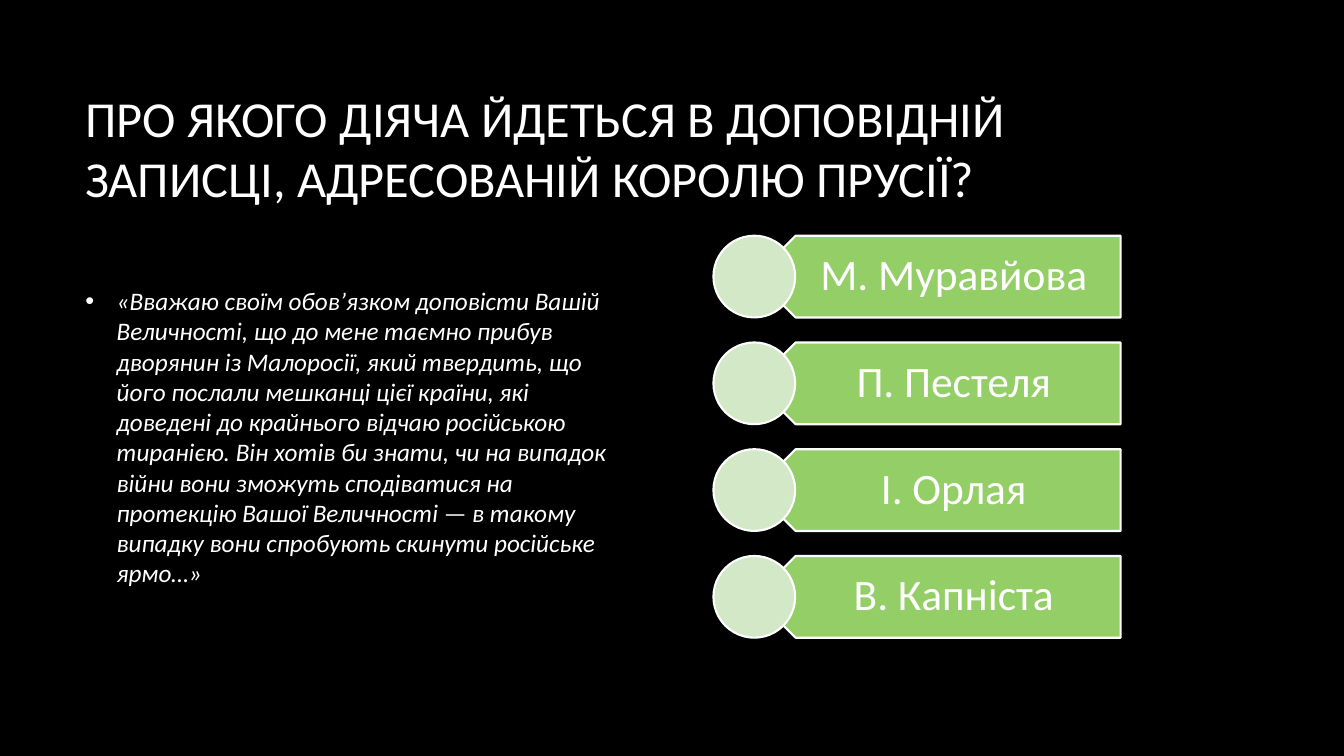
import pptx
import pptx.dml.color
import pptx.enum.shapes
import pptx.enum.text
import pptx.oxml
import pptx.oxml.ns
import pptx.util

Cm = pptx.util.Cm
Pt = pptx.util.Pt
Shape = pptx.enum.shapes.MSO_SHAPE
Align = pptx.enum.text.PP_ALIGN


def color(hex_value):
    return pptx.dml.color.RGBColor.from_string(hex_value)


class QuizSlide:
    font = "Calibri"
    text_color = "FFFFFF"
    line_width = 1.5

    def __init__(self, presentation, background):
        self.slide = presentation.slides.add_slide(presentation.slide_layouts[6])
        fill = self.slide.background.fill
        fill.solid()
        fill.fore_color.rgb = color(background)

    def text(self, parent, box, words, size, italic=False, align=Align.LEFT,
             insets=(0.25, 0.13, 0.25, 0.13), line_spacing=1.0):
        shape = parent.add_textbox(*map(Cm, box))
        frame = shape.text_frame
        frame.word_wrap = True
        frame.vertical_anchor = pptx.enum.text.MSO_ANCHOR.MIDDLE
        (frame.margin_left, frame.margin_top,
         frame.margin_right, frame.margin_bottom) = map(Cm, insets)
        paragraph = frame.paragraphs[0]
        paragraph.alignment = align
        paragraph.line_spacing = line_spacing
        run = paragraph.add_run()
        run.text = words
        run.font.name = self.font
        run.font.size = Pt(size)
        run.font.italic = italic
        run.font.color.rgb = color(self.text_color)
        return paragraph

    def bullet(self, paragraph, indent):
        properties = paragraph._p.get_or_add_pPr()
        properties.set("marL", str(Cm(indent)))
        properties.set("indent", str(-Cm(indent)))
        namespace = pptx.oxml.ns.nsdecls("a")
        for xml in (
            f'<a:buClr {namespace}><a:srgbClr val="{self.text_color}"/></a:buClr>',
            f'<a:buFont {namespace} typeface="Arial"/>',
            f'<a:buChar {namespace} char="•"/>',
        ):
            properties.append(pptx.oxml.parse_xml(xml))

    def shape(self, parent, kind, box, fill, rotation=0):
        shape = parent.add_shape(kind, *map(Cm, box))
        shape.shadow.inherit = False
        shape.rotation = rotation
        shape.fill.solid()
        shape.fill.fore_color.rgb = color(fill)
        shape.line.color.rgb = color(self.text_color)
        shape.line.width = Pt(self.line_width)

    def answers(self, names, top, height, pitch):
        group = self.slide.shapes.add_group_shape().shapes
        for index, name in enumerate(names):
            y = top + index * pitch
            self.shape(group, Shape.PENTAGON, (19.02, y, 9.22, height), "94CE67", 180)
            self.text(group, (19.53, y, 8.71, height), name, 31, align=Align.CENTER,
                      insets=(0.91, 0.33, 0.61, 0.33), line_spacing=0.9)
            self.shape(group, Shape.OVAL, (17.98, y, height, height), "D2E8C7")


def main():
    presentation = pptx.Presentation()
    presentation.slide_width = Cm(33.87)
    presentation.slide_height = Cm(19.05)
    quiz = QuizSlide(presentation, "000000")
    shapes = quiz.slide.shapes

    # Question
    quiz.text(shapes, (1.9, 1.7, 28.14, 4.04),
              "ПРО ЯКОГО ДІЯЧА ЙДЕТЬСЯ В ДОПОВІДНІЙ ЗАПИСЦІ, "
              "АДРЕСОВАНІЙ КОРОЛЮ ПРУСІЇ?", 36)

    # Quotation
    quotation = quiz.text(
        shapes, (1.9, 5.94, 13.87, 10.13),
        "«Вважаю своїм обов’язком доповісти Вашій Величності, що до мене таємно "
        "прибув дворянин із Малоросії, який твердить, що його послали мешканці "
        "цієї країни, які доведені до крайнього відчаю російською тиранією. Він "
        "хотів би знати, чи на випадок війни вони зможуть сподіватися на протекцію "
        "Вашої Величності — в такому випадку вони спробують скинути російське "
        "ярмо…»", 18, italic=True)
    quiz.bullet(quotation, 0.79)

    # Answer options
    quiz.answers(["М. Муравйова", "П. Пестеля", "І. Орлая", "В. Капніста"],
                 top=5.94, height=2.06, pitch=2.69)

    presentation.save("out.pptx")


if __name__ == "__main__":
    main()
